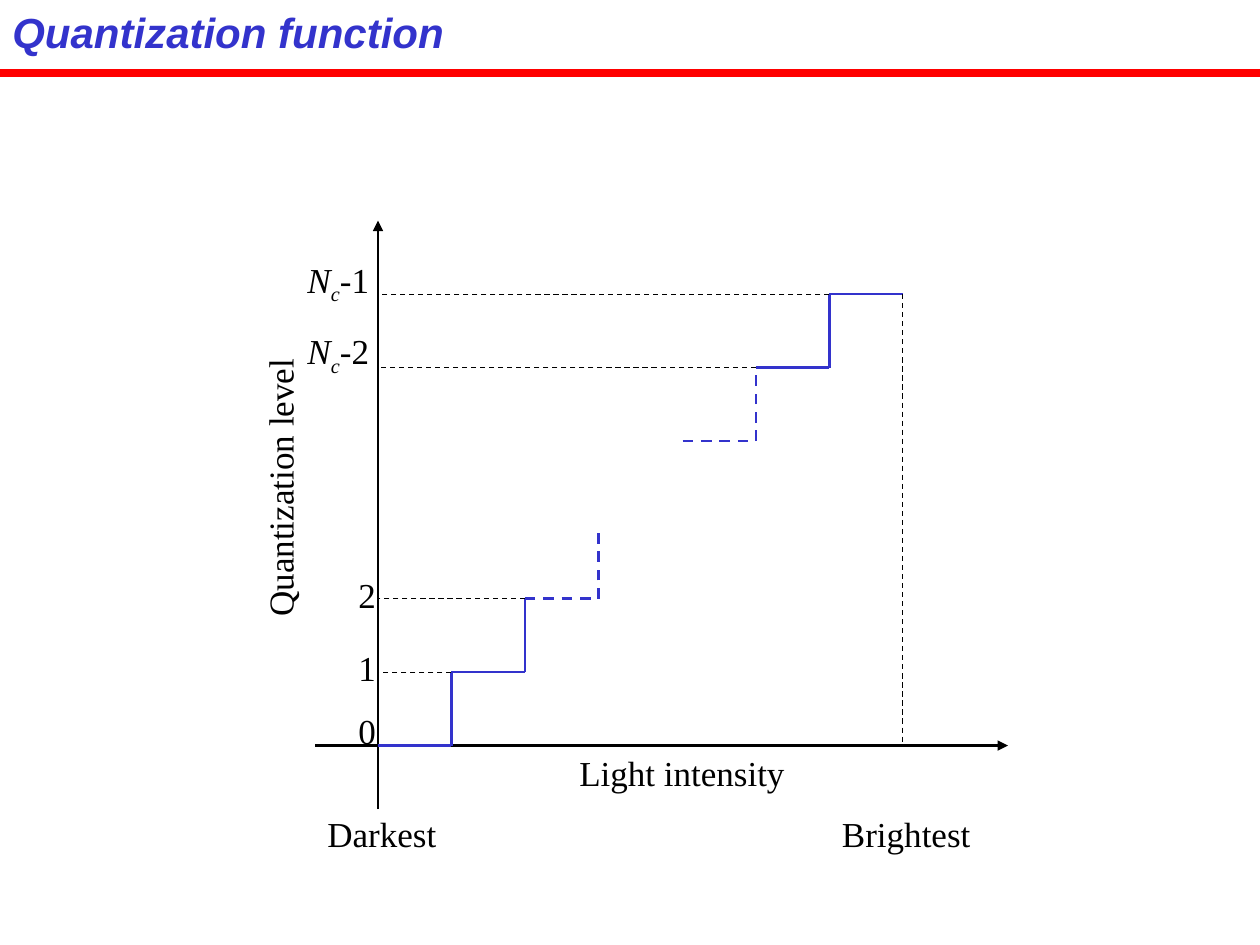
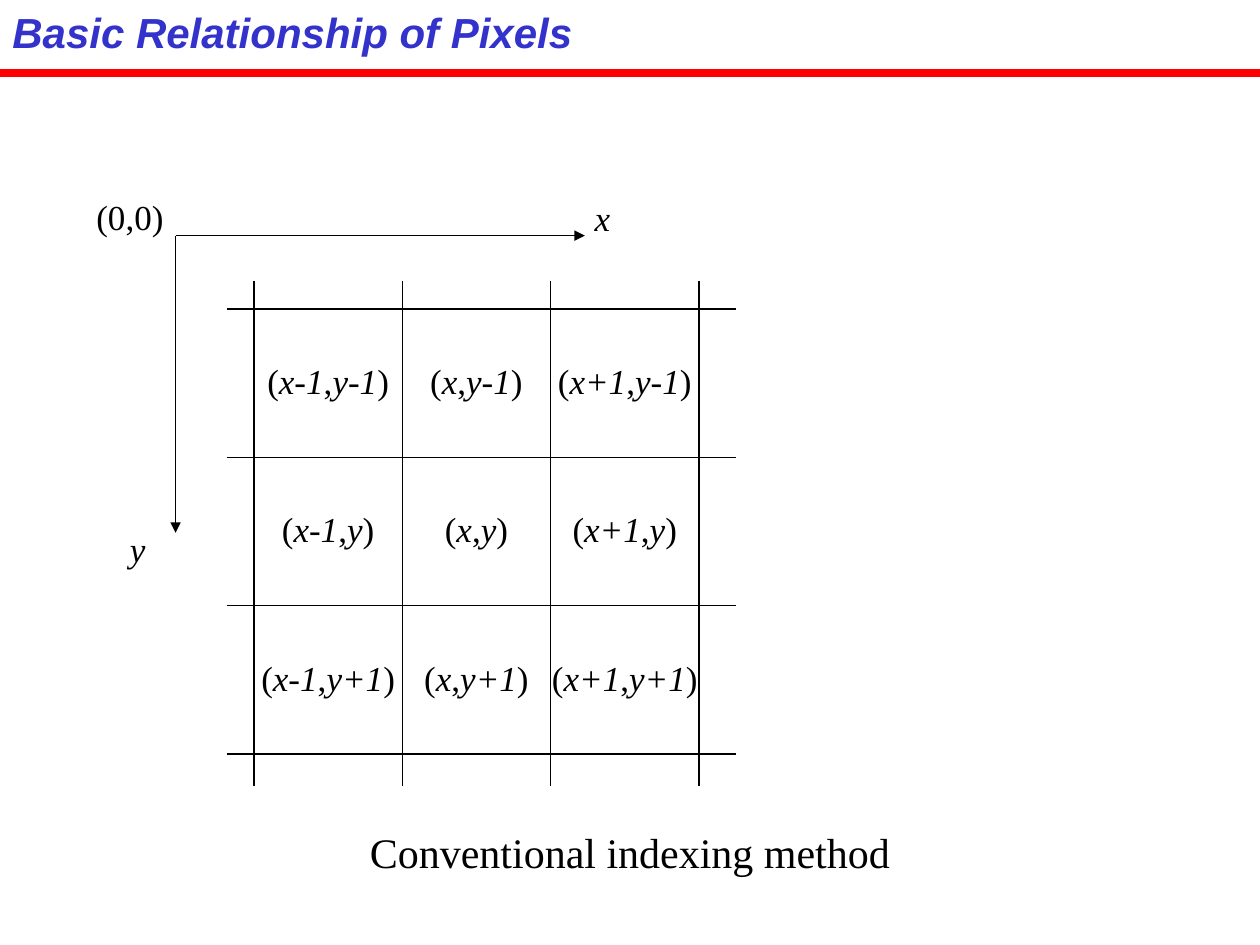
from itertools import pairwise

from lxml import etree
from pptx import Presentation, util as u
from pptx.dml.color import RGBColor
from pptx.enum import dml, shapes, text
from pptx.oxml.ns import qn

HUES = {"ink": "000000", "blue": "3333CC", "red": "FF0000"}
SERIF, SANS = "Times New Roman", "Arial"
STEP = 1.48  # one quantization step, cm
CELL = 2.99  # one pixel cell, cm


def hue(name):
    return RGBColor.from_string(HUES[name])


class Deck:
    def __init__(self):
        self.prs = Presentation()
        self.prs.slide_width, self.prs.slide_height = u.Cm(25.4), u.Cm(19.05)
        self.slide = None

    def start(self, title, width):
        """Add a slide with the red rule and its title."""
        self.slide = self.prs.slides.add_slide(self.prs.slide_layouts[6])
        self.line((0, 1.48), (25.4, 1.48), "red", 4.5)
        para = self.label(title, 0, 0, width, 24, 1.27)
        para.alignment = text.PP_ALIGN.LEFT
        font = para.font
        font.name, font.bold, font.italic = SANS, True, True
        font.color.rgb = hue("blue")

    def line(self, start, end, color="ink", width=0.75, dash=False, arrow=False):
        line = self.slide.shapes.add_connector(
            shapes.MSO_CONNECTOR.STRAIGHT, *map(u.Cm, start + end))
        line.line.color.rgb = hue(color)
        line.line.width = u.Pt(width)
        if dash:
            line.line.dash_style = dml.MSO_LINE.DASH
        if arrow:
            etree.SubElement(line.line._get_or_add_ln(), qn("a:tailEnd"), type="triangle")
        etree.SubElement(line._element.spPr, qn("a:effectLst"))

    def stair(self, points, dash=False):
        for start, end in pairwise(points):
            self.line(start, end, "blue", 1.5, dash)

    def label(self, words, left, top, width, size=20, height=1.12, turn=0):
        """Words are a string, or pairs of text and style: i italic, s subscript."""
        box = self.slide.shapes.add_textbox(*map(u.Cm, (left, top, width, height)))
        box.rotation = turn
        frame = box.text_frame
        frame.word_wrap = False
        frame.auto_size = text.MSO_AUTO_SIZE.SHAPE_TO_FIT_TEXT
        para = frame.paragraphs[0]
        para.alignment = text.PP_ALIGN.CENTER
        para.font.name, para.font.size = SERIF, u.Pt(size)
        para.font.color.rgb = hue("ink")
        for part, style in [(words, "")] if isinstance(words, str) else words:
            run = para.add_run()
            run.text = part
            if "i" in style:
                run.font.italic = True
            if "s" in style:
                run._r.get_or_add_rPr().set("baseline", "-25000")
        return para


def grid(left, top, size):
    """Return a function from steps right and up to a point."""
    return lambda right, up: (left + right * size, top - up * size)


def levels(deck):
    deck.start("Quantization function", 9.3)
    low, high = grid(7.62, 15.03, STEP), grid(18.2, 5.93, STEP)
    axis, base = low(0, 0)
    deck.line((6.35, base), (20.32, base), width=1.5, arrow=True)
    deck.line((axis, 16.31), (axis, 4.45), width=1.5, arrow=True)

    deck.stair([low(0, 0), low(1, 0), low(1, 1), low(2, 1), low(2, 2)])
    deck.stair([low(2, 2), low(3, 2), low(3, 3)], dash=True)
    deck.stair([high(-3, -2), high(-2, -2), high(-2, -1)], dash=True)
    deck.stair([high(-2, -1), high(-1, -1), high(-1, 0), high(0, 0)])

    for x, y in (high(-1, 0), high(-2, -1), low(2, 2), low(1, 1)):
        deck.line((x, y), (axis, y), dash=True)
    edge, peak = high(0, 0)
    deck.line((edge, peak), (edge, base), dash=True)

    deck.label("Light intensity", 11.4, 15.02, 4.7)
    deck.label("Quantization level", 2.79, 9.27, 5.72, turn=270)
    for digit, top in (("0", 14.17), ("1", 12.9), ("2", 11.43)):
        deck.label(digit, 6.97, top, 0.86)
    for drop, top in (("-1", 5.08), ("-2", 6.52)):
        deck.label([("N", "i"), ("c", "is"), (drop, "")], 5.92, top, 1.8, height=1.22)
    deck.label("Darkest", 6.3, 16.26, 2.8)
    deck.label("Brightest", 16.67, 16.26, 3.2)


def pixels(deck):
    deck.start("Basic Relationship of Pixels", 12)
    deck.line((3.54, 4.75), (11.79, 4.75), arrow=True)
    deck.line((3.54, 4.75), (3.54, 10.74), arrow=True)
    deck.label([("x", "i")], 11.74, 3.84, 0.81)
    deck.label([("y", "i")], 2.37, 10.5, 0.81)
    deck.label("(0,0)", 1.62, 3.81, 2)
    deck.label("Conventional indexing method", 7.15, 16.54, 11.1, 24, 1.27)

    left, top = 5.12, 6.23
    for i in range(4):
        x, y = left + i * CELL, top + i * CELL
        deck.line((x, 5.66), (x, 15.85))
        deck.line((4.57, y), (14.83, y))

    shifts = (("-1", 0.6), ("", 0), ("+1", 0.84))  # suffix and the width it adds
    for row, (down, tall) in enumerate(shifts):
        for col, (side, wide) in enumerate(shifts):
            width = 1.9 + wide + tall
            words = [("(", ""), ("x" + side, "i"), (",", ""), ("y" + down, "i"), (")", "")]
            deck.label(words, left + (col + 0.5) * CELL - width / 2,
                       top + 0.89 + row * CELL, width)


def main():
    deck = Deck()
    levels(deck)
    pixels(deck)
    deck.prs.save("out.pptx")


if __name__ == "__main__":
    main()
